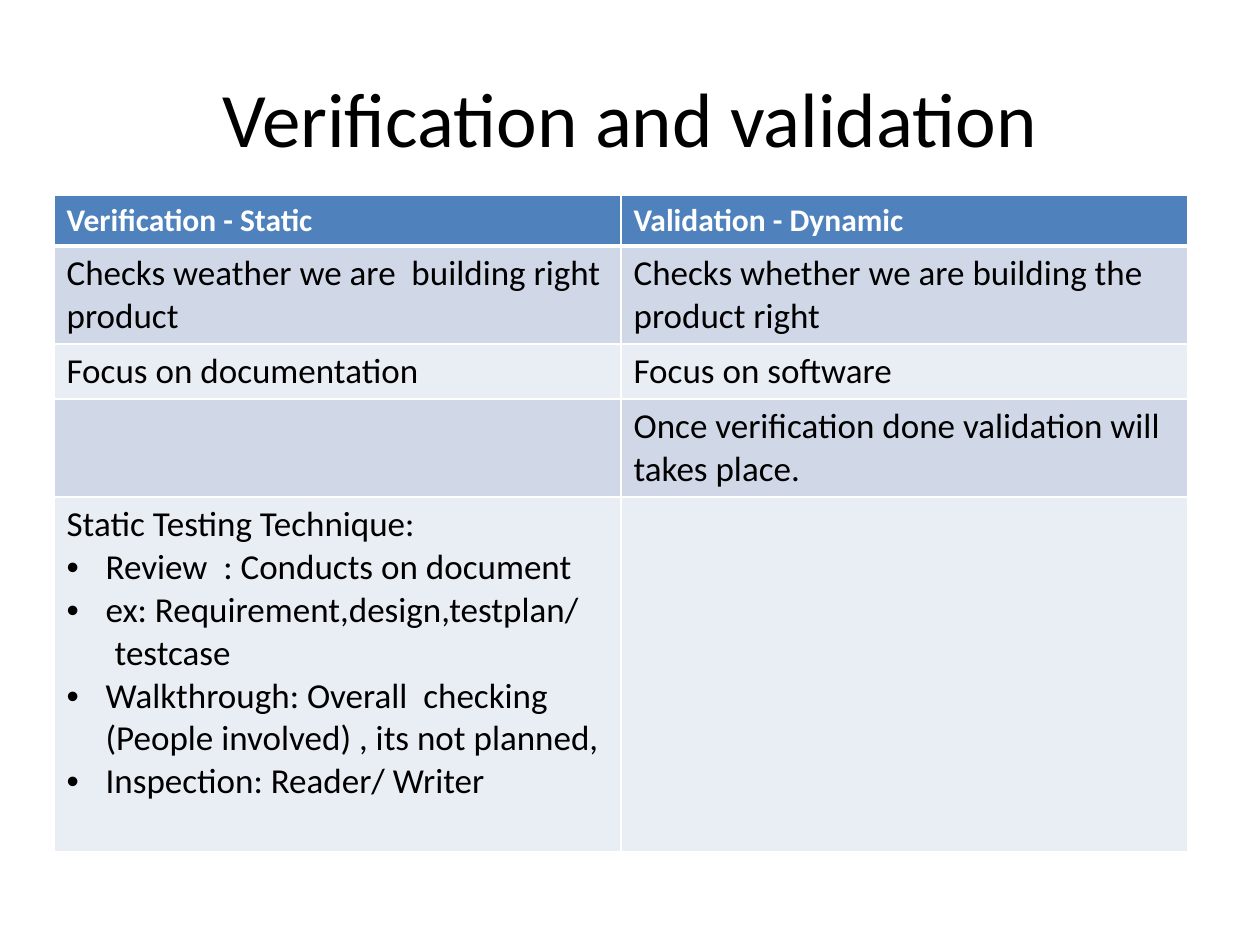
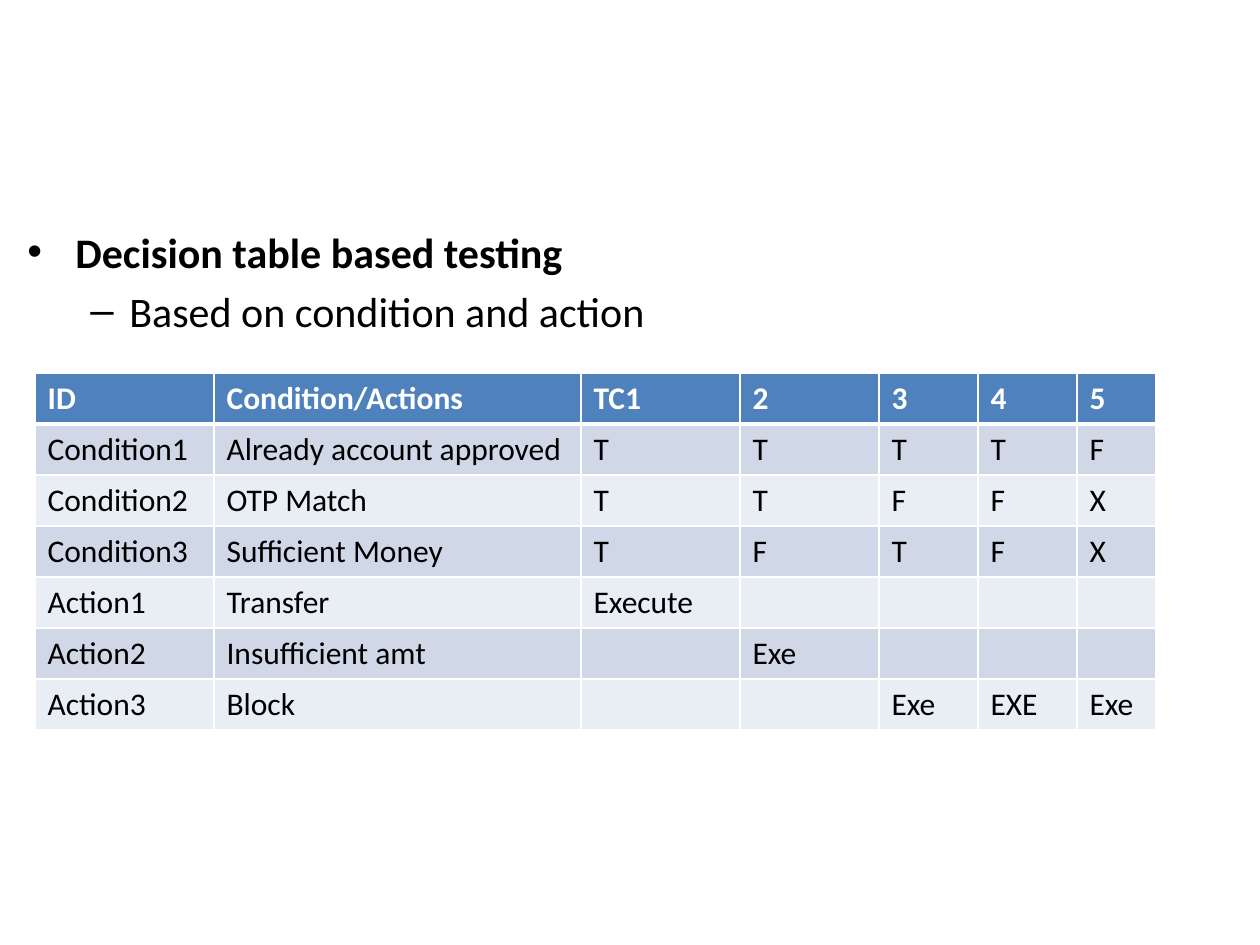
from lxml.etree import SubElement
from pptx import Presentation
from pptx.dml.color import RGBColor
from pptx.enum.text import MSO_ANCHOR, PP_ALIGN
from pptx.oxml.ns import qn
from pptx.util import Emu, Pt

FONT = "Calibri"
BLACK = RGBColor(0, 0, 0)
WHITE = RGBColor(255, 255, 255)
BLUE = RGBColor(0x4F, 0x81, 0xBD)
BANDS = RGBColor(0xE9, 0xED, 0xF4), RGBColor(0xD0, 0xD8, 0xE8)

TITLE = "Verification and validation"
STEPS = [
    "Static Testing Technique:",
    ("Review  : Conducts on document", "•", 39, 39),
    ("ex: Requirement,design,testplan/", "•", 39, 39),
    ("testcase", "", 48, 0),
    ("Walkthrough: Overall  checking (People involved) , its not planned,", "•", 39, 39),
    ("Inspection: Reader/ Writer", "•", 39, 39),
]
CHECKS = [
    ["Verification - Static", "Validation - Dynamic"],
    ["Checks weather we are  building right product",
     "Checks whether we are building the product right"],
    ["Focus on documentation", "Focus on software"],
    ["", "Once verification done validation will takes place."],
    [STEPS, ""],
]
POINTS = [
    ("Decision table based testing", "•", 48, 48),
    ("Based on condition and action", "–", 102, 39),
]
CASES = [
    ["ID", "Condition/Actions", "TC1", "2", "3", "4", "5"],
    ["Condition1", "Already account approved", "T", "T", "T", "T", "F"],
    ["Condition2", "OTP Match", "T", "T", "F", "F", "X"],
    ["Condition3", "Sufficient Money", "T", "F", "T", "F", "X"],
    ["Action1", "Transfer", "Execute", "", "", "", ""],
    ["Action2", "Insufficient amt", "", "Exe", "", "", ""],
    ["Action3", "Block", "", "", "Exe", "EXE", "Exe"],
]


def px(count):
    return Emu(round(count * 914400 / 126))


def write(para, item, size, color=BLACK, bold=False):
    text, mark, left, hang = (item, "", 0, 0) if isinstance(item, str) else item
    props = para._p.get_or_add_pPr()
    props.set("marL", str(px(left)))
    props.set("indent", str(px(-hang)))
    if mark:
        SubElement(props, qn("a:buFont")).set("typeface", "Arial")
        SubElement(props, qn("a:buChar")).set("char", mark)
    if not text:
        para.font.size = Pt(size)
        return
    run = para.add_run()
    run.text = text
    font = run.font
    font.name, font.size, font.bold = FONT, Pt(size), bold
    font.color.rgb = color


def fill_text(frame, items, size, color=BLACK, bold=False):
    for at, item in enumerate(items):
        para = frame.paragraphs[0] if at == 0 else frame.add_paragraph()
        write(para, item, size, color, bold)


def add_box(slide, left, top, width, height):
    frame = slide.shapes.add_textbox(*map(px, (left, top, width, height))).text_frame
    frame.word_wrap = True
    return frame


def edge(cell, row):
    props = cell._tc.get_or_add_tcPr()
    for side in "LRTB":
        thick = (row, side) in ((0, "B"), (1, "T"))
        line = SubElement(props, qn(f"a:ln{side}"), w=str(Pt(3 if thick else 1)))
        paint = SubElement(line, qn("a:solidFill"))
        SubElement(paint, qn("a:srgbClr"), val=str(WHITE))


def add_grid(slide, left, top, cols, rows, data, size):
    frame = slide.shapes.add_table(len(rows), len(cols), px(left), px(top),
                                   px(sum(cols)), px(sum(rows)))
    table = frame.table
    for col, width in zip(table.columns, cols):
        col.width = px(width)
    for row, height in zip(table.rows, rows):
        row.height = px(height)
    for r, line in enumerate(data):
        head = r == 0
        for c, value in enumerate(line):
            cell = table.cell(r, c)
            edge(cell, r)
            cell.fill.solid()
            cell.fill.fore_color.rgb = BLUE if head else BANDS[r % 2]
            items = [value] if isinstance(value, str) else value
            fill_text(cell.text_frame, items, 18 if head else size,
                      WHITE if head else BLACK, head)


def main():
    deck = Presentation()
    deck.slide_width, deck.slide_height = px(1260), px(945)
    blank = deck.slide_layouts[6]

    slide = deck.slides.add_slide(blank)
    title = add_box(slide, 63, 38, 1134, 157)
    title.vertical_anchor = MSO_ANCHOR.MIDDLE
    fill_text(title, [TITLE], 44)
    title.paragraphs[0].alignment = PP_ALIGN.CENTER
    add_grid(slide, 54, 195, [567] * 2, [51, 98, 55, 98, 355], CHECKS, 20)

    slide = deck.slides.add_slide(blank)
    body = add_box(slide, 15, 220, 1182, 659)
    fill_text(body, POINTS, 24)
    lead, note = body.paragraphs
    lead.runs[0].font.bold = True
    note.level = 1
    note.space_before = Pt(4.8)
    add_grid(slide, 35, 373, [179, 367, 159, 139, 99, 99, 79], [51] * 7, CASES, 18)

    deck.save("out.pptx")


if __name__ == "__main__":
    main()
